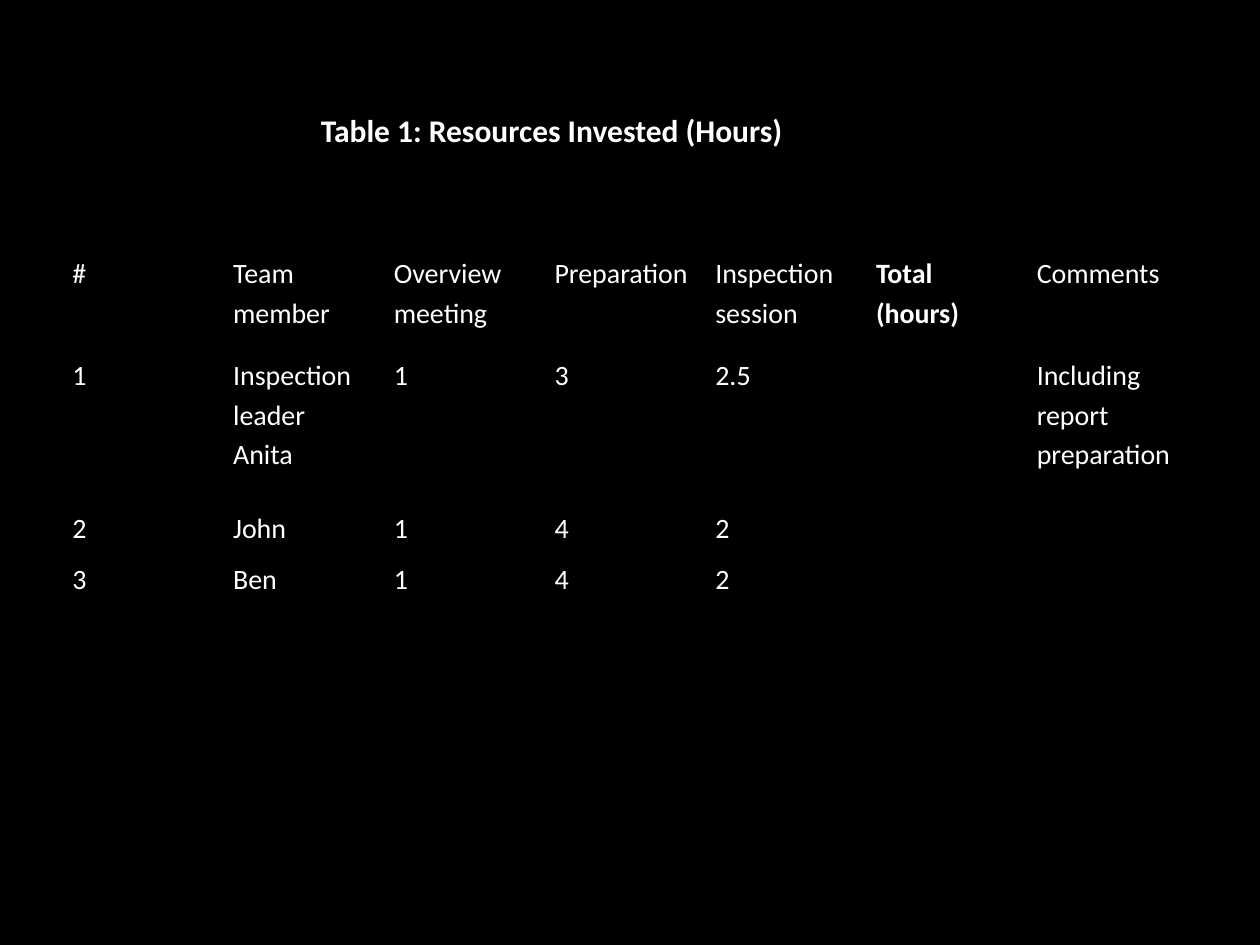
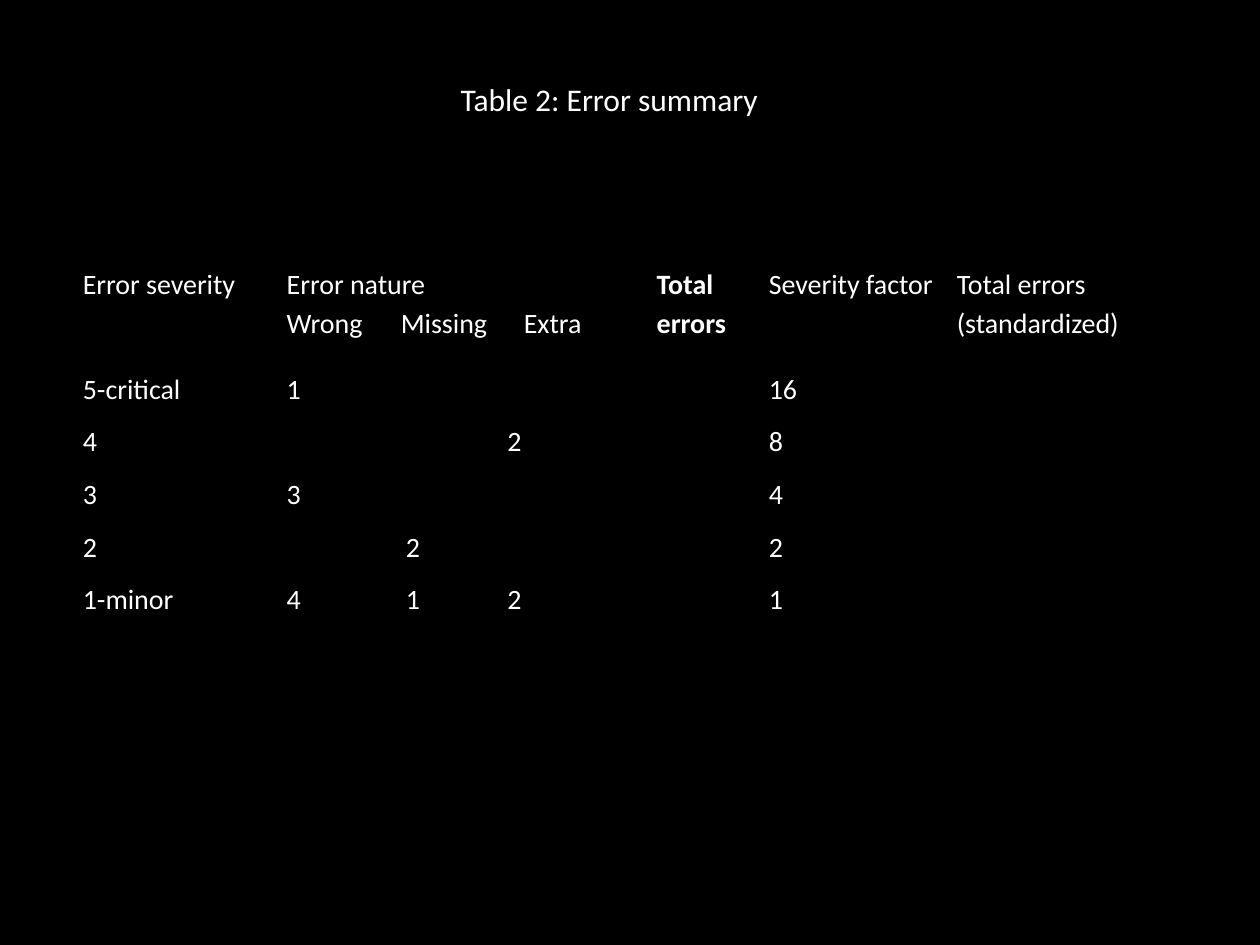
import dataclasses
import lxml.etree
import pptx
import pptx.dml.color
import pptx.enum.text
import pptx.oxml.ns
import pptx.util

Cm = pptx.util.Cm
Pt = pptx.util.Pt
qn = pptx.oxml.ns.qn


@dataclasses.dataclass(frozen=True)
class Theme:
    """Colours, font and type sizes of the deck."""
    back: str = "000000"
    ink: str = "FFFFFF"
    rule: str = "000000"
    font: str = "Calibri"
    title: int = 18
    body: int = 16
    lead: float = 1.15
    inset: float = 0.19


THEME = Theme()

HOURS = [
    ["#", "Team member", "Overview meeting", "Preparation",
     "Inspection session", "Total (hours)", "Comments"],
    ["1", "Inspection leader\nAnita", "1", "3", "2.5", "",
     "Including\nreport\npreparation"],
    ["2", "John", "1", "4", "2", "", ""],
    ["3", "Ben", "1", "4", "2", "", ""],
    [""] * 7,
]

ERRORS = [
    ["Error severity", "Error nature\nWrong\tMissing\tExtra", "", "",
     "Total errors", "Severity factor", "Total errors\n(standardized)"],
    ["5-critical", "1", "", "", "", "16", ""],
    ["4", "", "", "2", "", "8", ""],
    ["3", "3", "", "", "", "4", ""],
    ["2", "", "2", "", "", "2", ""],
    ["1-minor", "4", "1", "2", "", "1", ""],
    [""] * 7,
]


def write(frame, text, size=THEME.body, bold=False, align=None, lead=None, tabs=()):
    """Write lines of text into a frame, one paragraph a line."""
    for num, line in enumerate(text.split("\n")):
        par = frame.add_paragraph() if num else frame.paragraphs[0]
        if tabs and "\t" in line:
            stops = lxml.etree.SubElement(par._p.get_or_add_pPr(), qn("a:tabLst"))
            for stop in tabs:
                lxml.etree.SubElement(stops, qn("a:tab"), pos=str(Cm(stop)), algn="l")
        par.alignment = align
        par.line_spacing = lead
        run = par.add_run()
        run.text = line
        run.font.name = THEME.font
        run.font.size = Pt(size)
        run.font.bold = bold
        run.font.color.rgb = pptx.dml.color.RGBColor.from_string(THEME.ink)


def rule(cell):
    """Draw thin lines on all four sides of a cell."""
    props = cell._tc.get_or_add_tcPr()
    for side in ("lnL", "lnR", "lnT", "lnB"):
        line = lxml.etree.SubElement(props, qn(f"a:{side}"), w=str(Pt(1)))
        fill = lxml.etree.SubElement(line, qn("a:solidFill"))
        lxml.etree.SubElement(fill, qn("a:srgbClr"), val=THEME.rule)


def page(deck):
    """Add a blank slide with the shared background."""
    slide = deck.slides.add_slide(deck.slide_layouts[6])
    fill = slide.background.fill
    fill.solid()
    fill.fore_color.rgb = pptx.dml.color.RGBColor.from_string(THEME.back)
    return slide


def title(slide, text, left, top, width, bold=False):
    """Add a centred table title."""
    box = slide.shapes.add_textbox(Cm(left), Cm(top), Cm(width), Cm(1.03))
    box.text_frame.word_wrap = True
    write(box.text_frame, text, size=THEME.title, bold=bold,
          align=pptx.enum.text.PP_ALIGN.CENTER)


def grid(slide, data, left, top, cols, rows, strong, span=None, tabs=()):
    """Add a plain table with one bold heading and an optional wide heading."""
    table = slide.shapes.add_table(len(rows), len(cols), Cm(left), Cm(top),
                                   Cm(sum(cols)), Cm(sum(rows))).table
    table.first_row = table.horz_banding = False
    for col, width in zip(table.columns, cols):
        col.width = Cm(width)
    for row, height in zip(table.rows, rows):
        row.height = Cm(height)
    if span:
        table.cell(0, span[0]).merge(table.cell(0, span[1]))
    for r, line in enumerate(data):
        for c, text in enumerate(line):
            cell = table.cell(r, c)
            cell.margin_left = cell.margin_right = Cm(THEME.inset)
            cell.margin_top = cell.margin_bottom = 0
            rule(cell)
            cell.fill.background()
            if text:
                write(cell.text_frame, text, bold=(r, c) == (0, strong),
                      lead=THEME.lead, tabs=tabs)


def main():
    """Build both table slides."""
    deck = pptx.Presentation()
    deck.slide_width, deck.slide_height = Cm(25.4), Cm(19.05)

    slide = page(deck)
    grid(slide, HOURS, 1.27, 5.08, [3.24] * 7, [2.06, 3.08] + [1.03] * 3, strong=5)
    title(slide, "Table 1: Resources Invested (Hours)", 5.92, 2.11, 10.41, bold=True)

    slide = page(deck)
    grid(slide, ERRORS, 1.48, 5.29, [4.11, 2.4, 2.05, 3.01, 2.26, 3.79, 4.8],
         [2.12] + [1.06] * 6, strong=4, span=(1, 3), tabs=(2.3, 4.78))
    title(slide, "Table 2: Error summary", 5.72, 1.48, 13.13)

    deck.save("out.pptx")


if __name__ == "__main__":
    main()
